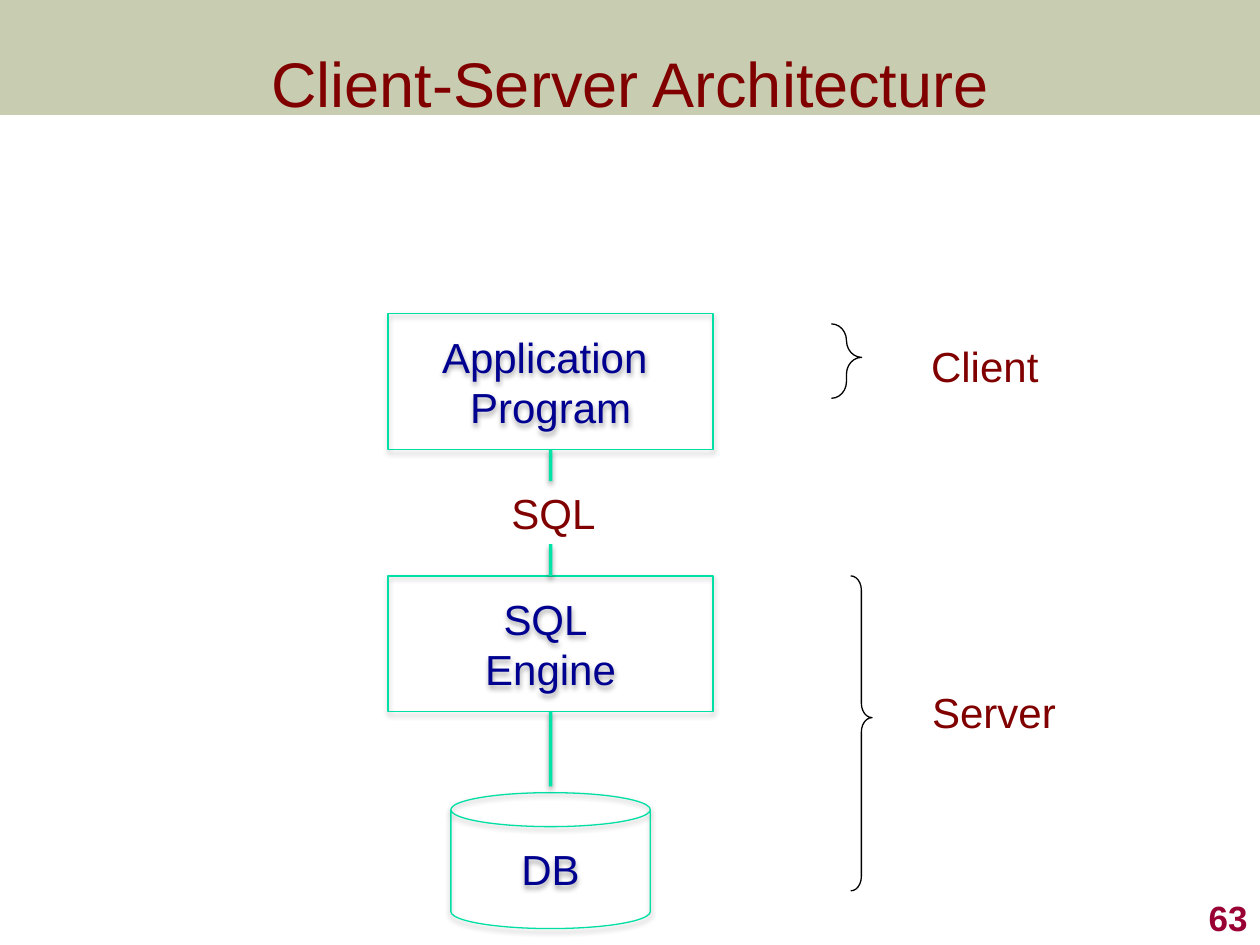
"""Build the Client-Server Architecture slide."""
import lxml.etree
import pptx
import pptx.dml.color
import pptx.enum.shapes
import pptx.enum.text
import pptx.oxml.ns
import pptx.util
from pptx.util import Cm

SHAPE = pptx.enum.shapes.MSO_SHAPE
ALIGN = pptx.enum.text.PP_ALIGN
ANCHOR = pptx.enum.text.MSO_ANCHOR

THEME = {
    "font": "Arial", "title_size": 36, "text_size": 24, "number_size": 20,
    "band": "677228", "band_alpha": 36, "heading": "800000", "node_text": "000090",
    "node_line": "00DFA4", "link": "00E4A8", "brace": "000000", "number": "990033",
    "thin": 0.75, "thick": 2,
}
PAGE_WIDTH, PAGE_HEIGHT = 25.4, 19.05
AXIS, NODE_HEIGHT = 11.1, 2.74
TITLE = "Client-Server Architecture"
PAGE_NUMBER = "63"
NODES = [
    ("Application \nProgram", SHAPE.RECTANGLE, 6.32, 6.55),
    ("SQL \nEngine", SHAPE.RECTANGLE, 11.61, 6.55),
    ("DB", SHAPE.CAN, 15.98, 4.02),
]
LINKS = [(9.06, 9.7, 0, None), (10.97, 11.61, None, 1), (14.35, 15.85, 1, None)]
BRACES = [(16.76, 6.53, 0.61, 1.5), (17.15, 11.61, 0.43, 6.35)]
LABELS = [("SQL", 10.06, 9.7, 2.24), ("Client", 18.52, 6.73, 2.72), ("Server", 18.54, 13.72, 3.05)]


def color(name):
    return pptx.dml.color.RGBColor.from_string(THEME[name])


def add_element(parent, tag, **attributes):
    return lxml.etree.SubElement(parent, pptx.oxml.ns.qn(tag), attributes)


def set_effects(shape, shadow_alpha=None):
    properties = shape._element.spPr
    effects = add_element(properties, "a:effectLst")
    if shadow_alpha:
        shadow = add_element(effects, "a:outerShdw", blurRad=str(pptx.util.Pt(3.1)),
                             dist=str(pptx.util.Pt(1.8)), dir="5400000", rotWithShape="0")
        tone = add_element(shadow, "a:srgbClr", val="000000")
        add_element(tone, "a:alpha", val=str(shadow_alpha * 1000))


def set_line(shape, name, width):
    shape.line.color.rgb = color(name)
    shape.line.width = pptx.util.Pt(THEME[width])


def write(box, text, size, tint, align=ALIGN.CENTER, anchor=ANCHOR.MIDDLE, wrap=True, bold=False):
    frame = box.text_frame
    frame.text = text
    frame.word_wrap = wrap
    frame.vertical_anchor = anchor
    for para in frame.paragraphs:
        para.alignment = align
        for span in para.runs:
            span.font.name = THEME["font"]
            span.font.size = pptx.util.Pt(THEME[size])
            span.font.color.rgb = color(tint)
            span.font.bold = bold


def add_outline(page, kind, place, line):
    shape = page.shapes.add_shape(kind, *map(Cm, place))
    shape.fill.background()
    set_line(shape, line, "thin")
    return shape


def add_band(page):
    band = page.shapes.add_shape(SHAPE.RECTANGLE, 0, 0, Cm(PAGE_WIDTH), Cm(2.32))
    band.fill.solid()
    band.fill.fore_color.rgb = color("band")
    tone = band._element.spPr.find(".//" + pptx.oxml.ns.qn("a:srgbClr"))
    add_element(tone, "a:alpha", val=str(THEME["band_alpha"] * 1000))
    band.line.fill.background()
    band.shadow.inherit = False
    page.shapes._spTree.insert(2, band._element)


def add_title(page):
    title = page.shapes.title
    title.left, title.top, title.width, title.height = map(Cm, (0, 0.03, PAGE_WIDTH, 3.25))
    write(title, TITLE, "title_size", "heading")


def add_nodes(page):
    nodes = []
    for text, kind, top, width in NODES:
        node = add_outline(page, kind, (AXIS - width / 2, top, width, NODE_HEIGHT), "node_line")
        set_effects(node, 35)
        write(node, text, "text_size", "node_text")
        nodes.append(node)
    return nodes


def add_links(page, nodes):
    for start, end, source, target in LINKS:
        link = page.shapes.add_connector(pptx.enum.shapes.MSO_CONNECTOR.STRAIGHT,
                                         Cm(AXIS), Cm(start), Cm(AXIS), Cm(end))
        if source is not None:
            link.begin_connect(nodes[source], 2)
        if target is not None:
            link.end_connect(nodes[target], 0)
        set_line(link, "link", "thick")
        set_effects(link, 38)


def add_braces(page):
    for place in BRACES:
        brace = add_outline(page, SHAPE.RIGHT_BRACE, place, "brace")
        brace.adjustments[0], brace.adjustments[1] = 0.67, 0.45
        brace.shadow.inherit = False


def add_labels(page):
    for text, left, top, width in LABELS:
        label = page.shapes.add_textbox(*map(Cm, (left, top, width, 1.3)))
        write(label, text, "text_size", "heading", ALIGN.LEFT, ANCHOR.TOP, wrap=False)
    number = page.shapes.add_textbox(*map(Cm, (20.12, 17.78, 5.28, 1.27)))
    write(number, PAGE_NUMBER, "number_size", "number", ALIGN.RIGHT, ANCHOR.BOTTOM, bold=True)


def main():
    deck = pptx.Presentation()
    deck.slide_width, deck.slide_height = Cm(PAGE_WIDTH), Cm(PAGE_HEIGHT)
    page = deck.slides.add_slide(deck.slide_layouts[5])
    add_band(page)
    add_title(page)
    add_links(page, add_nodes(page))
    add_braces(page)
    add_labels(page)
    deck.save("out.pptx")


if __name__ == "__main__":
    main()
